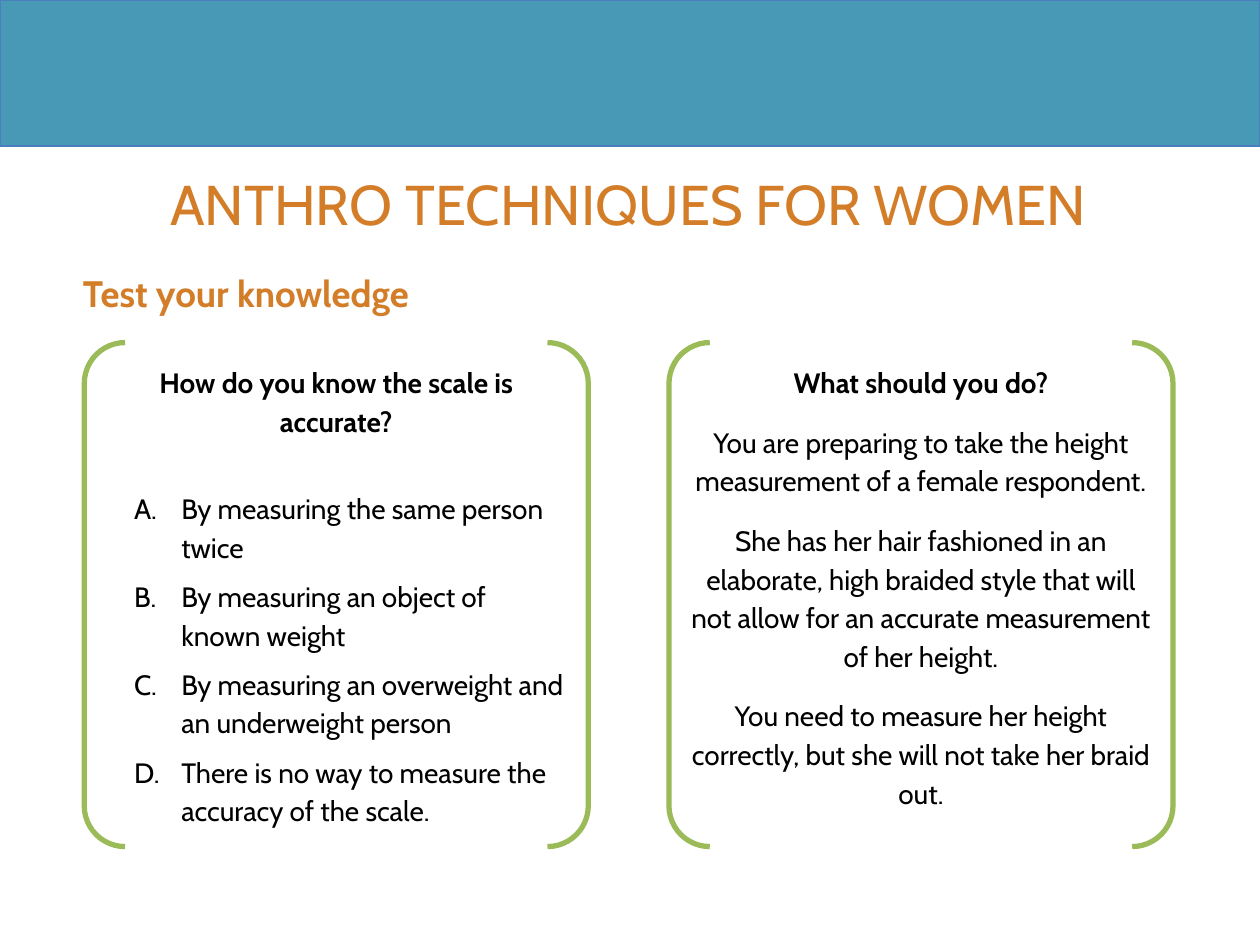
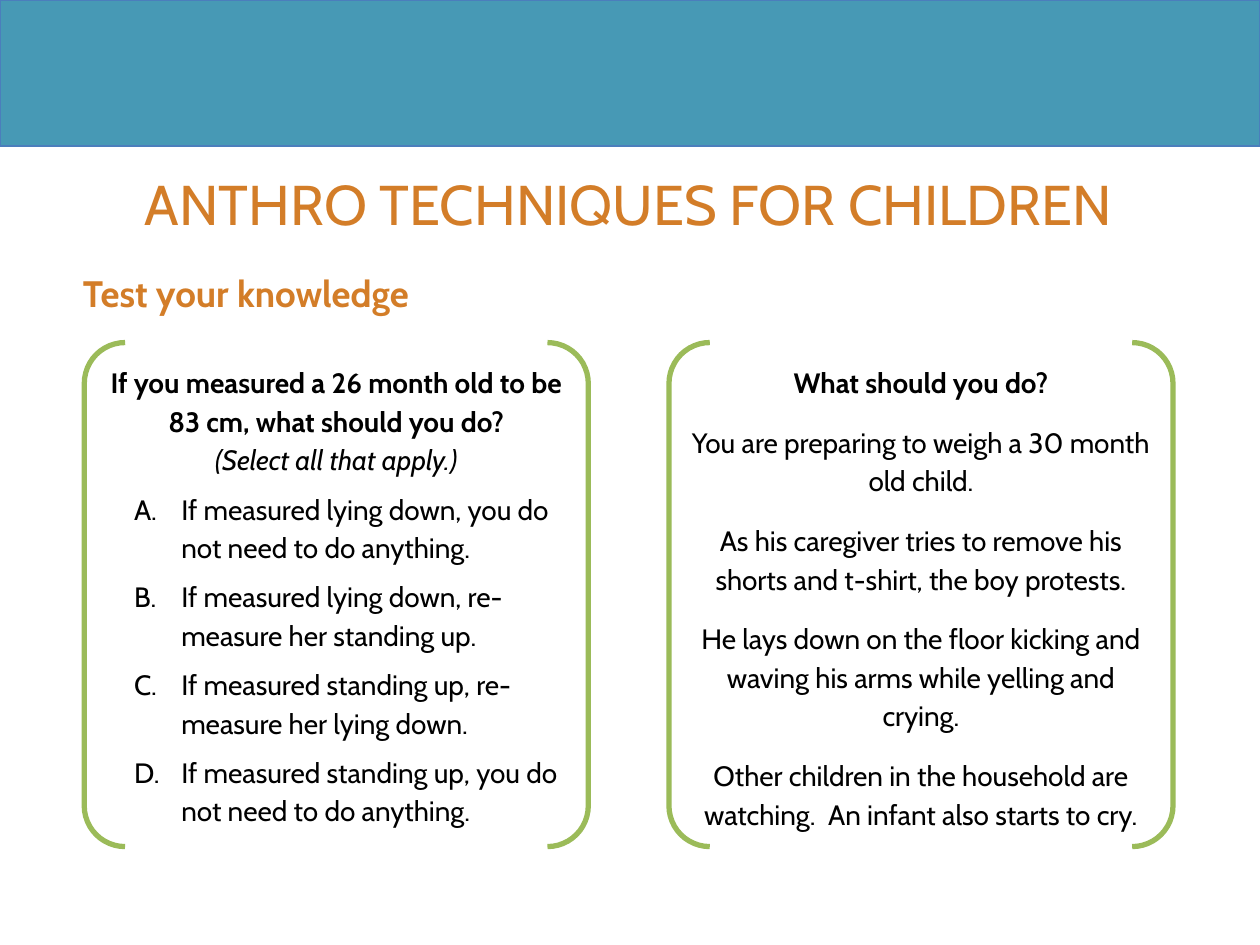
from lxml import etree
from pptx import Presentation
from pptx.dml.color import RGBColor
from pptx.enum import shapes, text
from pptx.oxml.ns import qn
from pptx.util import Pt

TEAL = RGBColor(0x47, 0x99, 0xB5)
BLUE = RGBColor(0x4B, 0x7E, 0xBC)
ORANGE = RGBColor(0xD3, 0x7D, 0x28)
GREEN = RGBColor(0x9B, 0xBB, 0x59)
BLACK = RGBColor(0, 0, 0)
FONT = "Cabin"
CENTER, LEFT = text.PP_ALIGN.CENTER, text.PP_ALIGN.LEFT

# Each slide: title, question, hint, options, paragraphs of the scene
SLIDES = [
    ("ANTHRO TECHNIQUES FOR WOMEN",
     "How do you know the scale is accurate?",
     None,
     ["By measuring the same person twice",
      "By measuring an object of known weight",
      "By measuring an overweight and an underweight person",
      "There is no way to measure the accuracy of the scale."],
     ["You are preparing to take the height measurement of a female respondent.",
      "She has her hair fashioned in an elaborate, high braided style that will "
      "not allow for an accurate measurement of her height.",
      "You need to measure her height correctly, but she will not take her braid out."]),
    ("ANTHRO TECHNIQUES FOR CHILDREN",
     "If you measured a 26 month old to be 83 cm, what should you do?",
     "(Select all that apply.)",
     ["If measured lying down, you do not need to do anything.",
      "If measured lying down, re-measure her standing up.",
      "If measured standing up, re-measure her lying down.",
      "If measured standing up, you do not need to do anything."],
     ["You are preparing to weigh a 30 month old child.",
      "As his caregiver tries to remove his shorts and t-shirt, the boy protests.",
      "He lays down on the floor kicking and waving his arms while yelling and crying.",
      "Other children in the household are watching.  An infant also starts to cry."]),
]


def write(frame, words, size=16, color=BLACK, bold=False, italic=False,
          align=CENTER, before=0, after=0, line=1.15):
    """Add one paragraph, filling the empty first one if there is one."""
    first = frame.paragraphs[0]
    para = frame.add_paragraph() if first.runs else first
    para.alignment, para.line_spacing = align, line
    para.space_before, para.space_after = Pt(before), Pt(after)
    run = para.add_run()
    run.text = words
    font = run.font
    font.name, font.size, font.bold, font.italic = FONT, Pt(size), bold, italic
    font.color.rgb = color
    return para


deck = Presentation()
deck.slide_width, deck.slide_height = Pt(720), Pt(540)

for title, question, hint, options, scene in SLIDES:
    slide = deck.slides.add_slide(deck.slide_layouts[6])

    band = slide.shapes.add_shape(shapes.MSO_SHAPE.RECTANGLE, 0, 0, Pt(720), Pt(83.5))
    band.shadow.inherit = False
    band.fill.solid()
    band.fill.fore_color.rgb = TEAL
    band.line.color.rgb = BLUE
    band.line.width = Pt(0.75)

    for words, left, top, wide, high, size, bold, align, foot in [
            (title, 35.3, 90.7, 648, 46.8, 32, False, CENTER, 0),
            ("Test your knowledge", 40.3, 149.8, 642.2, 35.3, 21, True, LEFT, 3.6)]:
        frame = slide.shapes.add_textbox(Pt(left), Pt(top), Pt(wide), Pt(high)).text_frame
        frame.word_wrap = True
        frame.vertical_anchor = text.MSO_ANCHOR.MIDDLE
        frame.margin_bottom = Pt(foot)
        write(frame, words, size, ORANGE, bold, align=align, line=1)

    frames = []
    for left in (48.2, 382.3):
        card = slide.shapes.add_shape(
            shapes.MSO_SHAPE.DOUBLE_BRACKET, Pt(left), Pt(195.8), Pt(288), Pt(288))
        card.adjustments[0] = 0.081
        card.shadow.inherit = False
        card.fill.background()
        card.line.color.rgb = GREEN
        card.line.width = Pt(3)
        frame = card.text_frame
        frame.word_wrap = True
        frame.vertical_anchor = text.MSO_ANCHOR.TOP
        frame.margin_left = frame.margin_right = Pt(3.6)
        frame.margin_top = frame.margin_bottom = Pt(3.6)
        frames.append(frame)
    quiz, story = frames

    write(quiz, question, bold=True)
    if hint:
        write(quiz, hint, italic=True)
    for i, option in enumerate(options):
        # Without a hint, the first option leaves that line free
        gap = 28 if i == 0 and not hint else 6
        props = write(quiz, option, align=LEFT, before=gap)._p.get_or_add_pPr()
        props.set("marL", str(Pt(45)))
        props.set("indent", str(Pt(-27)))
        etree.SubElement(props, qn("a:buAutoNum"), type="alphaUcPeriod")

    write(story, "What should you do?", bold=True, after=12)
    for words in scene:
        write(story, words, after=12)

deck.save("out.pptx")
